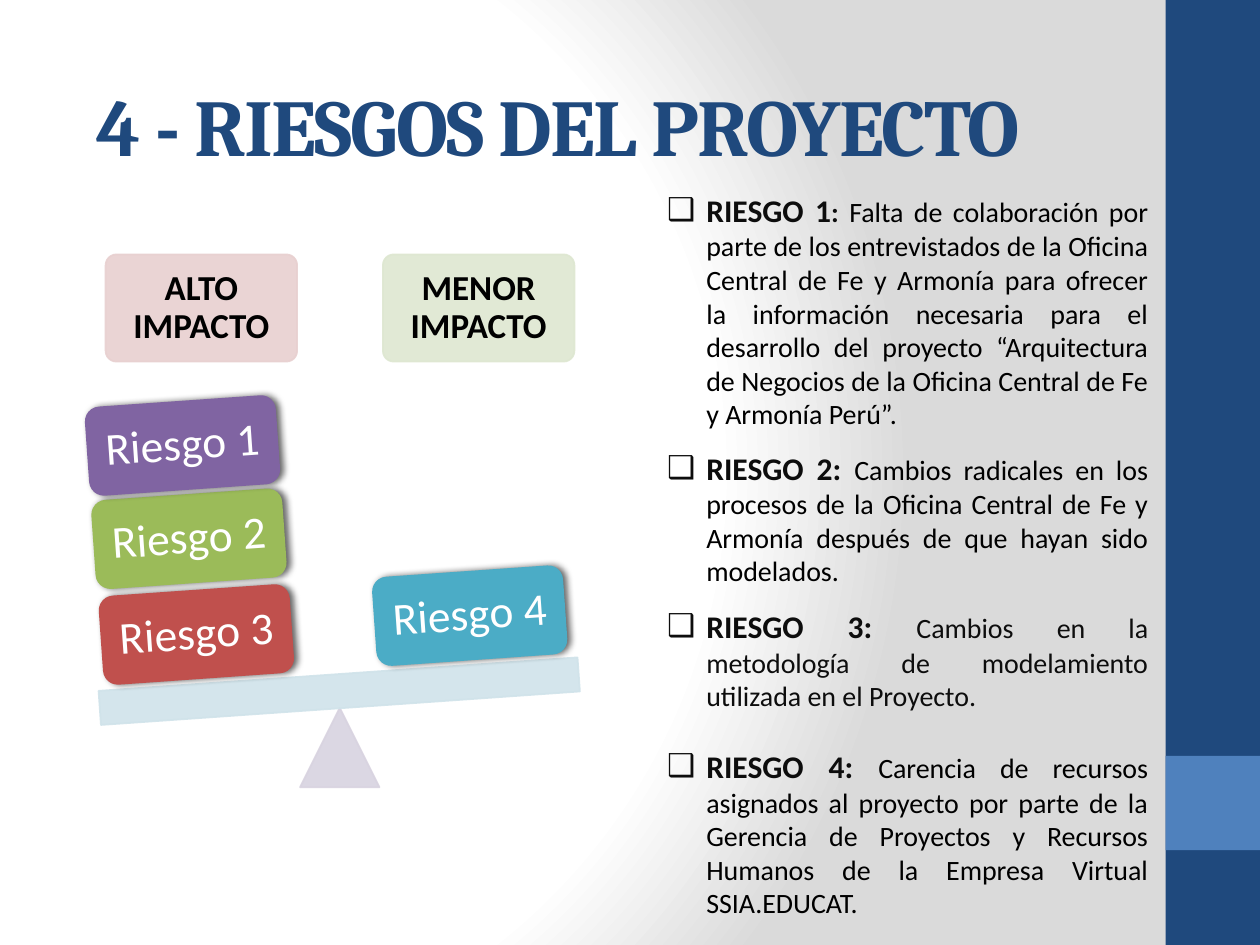
import pptx
import pptx.dml.color
import pptx.enum.shapes
import pptx.enum.text
import pptx.oxml
import pptx.oxml.ns
import pptx.util
from lxml import etree

Cm = pptx.util.Cm
Pt = pptx.util.Pt
SHAPE = pptx.enum.shapes.MSO_SHAPE
ANCHOR = pptx.enum.text.MSO_ANCHOR
ALIGN = pptx.enum.text.PP_ALIGN
qn = pptx.oxml.ns.qn

COLORS = {
    "navy": "1F497D", "blue": "4F81BD", "white": "FFFFFF", "gray": "DADADA",
    "ink": "0D0D0D", "black": "000000", "rose": "E8D0D0", "sage": "DEE7D1",
    "lilac": "D8D3E0", "ice": "D0E3EA", "red": "C0504D", "green": "9BBB59",
    "purple": "8064A2", "teal": "4BACC6",
}
TILT = -4


class SlideBuilder:
    body_font = "Calibri"
    title_font = "Cambria"

    def __init__(self, prs):
        self.s = prs.slides.add_slide(prs.slide_layouts[6])

    def rgb(self, color):
        return pptx.dml.color.RGBColor.from_string(COLORS[color])

    def background(self, stops):
        gs = "".join(
            f'<a:gs pos="{pos * 1000}"><a:srgbClr val="{COLORS[color]}"/></a:gs>'
            for pos, color in stops)
        bg = pptx.oxml.parse_xml(
            f'<p:bg {pptx.oxml.ns.nsdecls("p", "a")}><p:bgPr>'
            f'<a:gradFill rotWithShape="1"><a:gsLst>{gs}</a:gsLst>'
            '<a:path path="circle">'
            '<a:fillToRect l="20000" t="50000" r="100000" b="50000"/>'
            '</a:path></a:gradFill><a:effectLst/></p:bgPr></p:bg>')
        self.s.element.cSld.insert(0, bg)

    def format_run(self, r, size, color, bold=False, font=None):
        r.font.name = font or self.body_font
        r.font.size = Pt(size)
        r.font.bold = bold
        r.font.color.rgb = self.rgb(color)

    def shape(self, kind, x, y, w, h, color, rotation=0):
        sp = self.s.shapes.add_shape(kind, Cm(x), Cm(y), Cm(w), Cm(h))
        sp.shadow.inherit = False
        sp.fill.solid()
        sp.fill.fore_color.rgb = self.rgb(color)
        sp.line.fill.background()
        sp.rotation = rotation
        return sp

    def pale_shape(self, kind, x, y, w, h, color, rotation=0):
        sp = self.shape(kind, x, y, w, h, color, rotation)
        sp.line.color.rgb = self.rgb(color)
        sp.line.width = Pt(1)
        for clr in sp._element.spPr.iter(qn("a:srgbClr")):
            etree.SubElement(clr, qn("a:alpha"), val="90000")
        return sp

    def label(self, sp, text, size, color, bold=False, wrap=True):
        tf = sp.text_frame
        tf.text = text
        tf.word_wrap = wrap
        tf.vertical_anchor = ANCHOR.MIDDLE
        tf.margin_left = tf.margin_right = Cm(0.1)
        tf.margin_top = tf.margin_bottom = Cm(0.1)
        p = tf.paragraphs[0]
        p.alignment = ALIGN.CENTER
        p.line_spacing = 0.9
        self.format_run(p.runs[0], size, color, bold)

    def heading(self, x, text, color):
        sp = self.pale_shape(SHAPE.ROUNDED_RECTANGLE, x, 5.13, 3.86, 2.16, color)
        sp.adjustments[0] = 0.1
        self.label(sp, text, 20, "black", bold=True)

    def block(self, x, y, text, color):
        sp = self.shape(SHAPE.ROUNDED_RECTANGLE, x, y, 3.86, 1.8, color, TILT)
        effects = sp._element.spPr.find(qn("a:effectLst"))
        shadow = etree.SubElement(
            effects, qn("a:outerShdw"), blurRad=str(Pt(4)), dist=str(Pt(2)),
            dir="0", rotWithShape="0")
        clr = etree.SubElement(shadow, qn("a:srgbClr"), val=COLORS["black"])
        etree.SubElement(clr, qn("a:alpha"), val="60000")
        self.label(sp, text, 26, "white", wrap=False)

    def text_box(self, x, y, w, h):
        sp = self.s.shapes.add_textbox(Cm(x), Cm(y), Cm(w), Cm(h))
        sp.text_frame.word_wrap = True
        return sp.text_frame

    def title(self, text):
        tf = self.text_box(1.7, 1.4, 22.7, 2.54)
        tf.text = text
        tf.vertical_anchor = ANCHOR.MIDDLE
        tf.margin_bottom = Cm(0.45)
        r = tf.paragraphs[0].runs[0]
        self.format_run(r, 46, "navy", True, self.title_font)
        r.font._element.set("spc", "-100")

    def risk(self, y, h, runs):
        tf = self.text_box(13.2, y, 10.2, h)
        tf.auto_size = pptx.enum.text.MSO_AUTO_SIZE.SHAPE_TO_FIT_TEXT
        p = tf.paragraphs[0]
        p.alignment = ALIGN.JUSTIFY
        pPr = p._p.get_or_add_pPr()
        pPr.set("marL", str(Cm(0.79)))
        pPr.set("indent", str(Cm(-0.79)))
        etree.SubElement(pPr, qn("a:buFont"), typeface=self.body_font)
        etree.SubElement(pPr, qn("a:buChar"), char="❑")
        for text, size, color, bold in runs:
            r = p.add_run()
            r.text = text
            self.format_run(r, size, color, bold)


def main():
    prs = pptx.Presentation()
    prs.slide_width, prs.slide_height = Cm(25.4), Cm(19.05)
    slide = SlideBuilder(prs)
    slide.background([(0, "white"), (75, "white"), (100, "gray")])
    slide.shape(SHAPE.RECTANGLE, 23.5, 0, 1.9, 19.05, "navy")
    slide.shape(SHAPE.RECTANGLE, 23.5, 15.24, 1.9, 1.9, "blue")
    slide.title("4 - RIESGOS DEL PROYECTO")

    slide.heading(2.13, "ALTO IMPACTO", "rose")
    slide.heading(7.72, "MENOR IMPACTO", "sage")
    slide.pale_shape(SHAPE.ISOSCELES_TRIANGLE, 6.05, 14.27, 1.6, 1.6, "lilac")
    slide.pale_shape(SHAPE.RECTANGLE, 2, 13.59, 9.68, 0.69, "ice", TILT)
    for x, y, text, color in [
        (2.03, 11.89, "Riesgo 3", "red"),
        (1.88, 9.96, "Riesgo 2", "green"),
        (1.75, 8.08, "Riesgo 1", "purple"),
        (7.54, 11.51, "Riesgo 4", "teal"),
    ]:
        slide.block(x, y, text, color)

    slide.risk(3.73, 5.13, [
        ("RIESGO 1", 18, "ink", True),
        (": ", 16, "ink", True),
        ("Falta de colaboración por parte de los entrevistados de la Oficina "
         "Central de Fe y Armonía para ofrecer la información necesaria para "
         "el desarrollo del proyecto “Arquitectura de Negocios de la Oficina "
         "Central de Fe y Armonía Perú”.", 16, "black", False)])
    for y, h, name, text, color in [
        (8.92, 3.07, "RIESGO 2: ",
         "Cambios radicales en los procesos de la Oficina Central de Fe y "
         "Armonía después de que hayan sido modelados.", "black"),
        (12.12, 2.39, "RIESGO 3: ",
         "Cambios en la metodología de modelamiento utilizada en el Proyecto.",
         "ink"),
        (14.94, 3.8, "RIESGO 4: ",
         "Carencia de recursos asignados al proyecto por parte de la Gerencia "
         "de Proyectos y Recursos Humanos de la Empresa Virtual SSIA.EDUCAT.",
         "black"),
    ]:
        slide.risk(y, h, [(name, 18, "ink", True), (text, 16, color, False)])

    prs.save("out.pptx")


if __name__ == "__main__":
    main()
